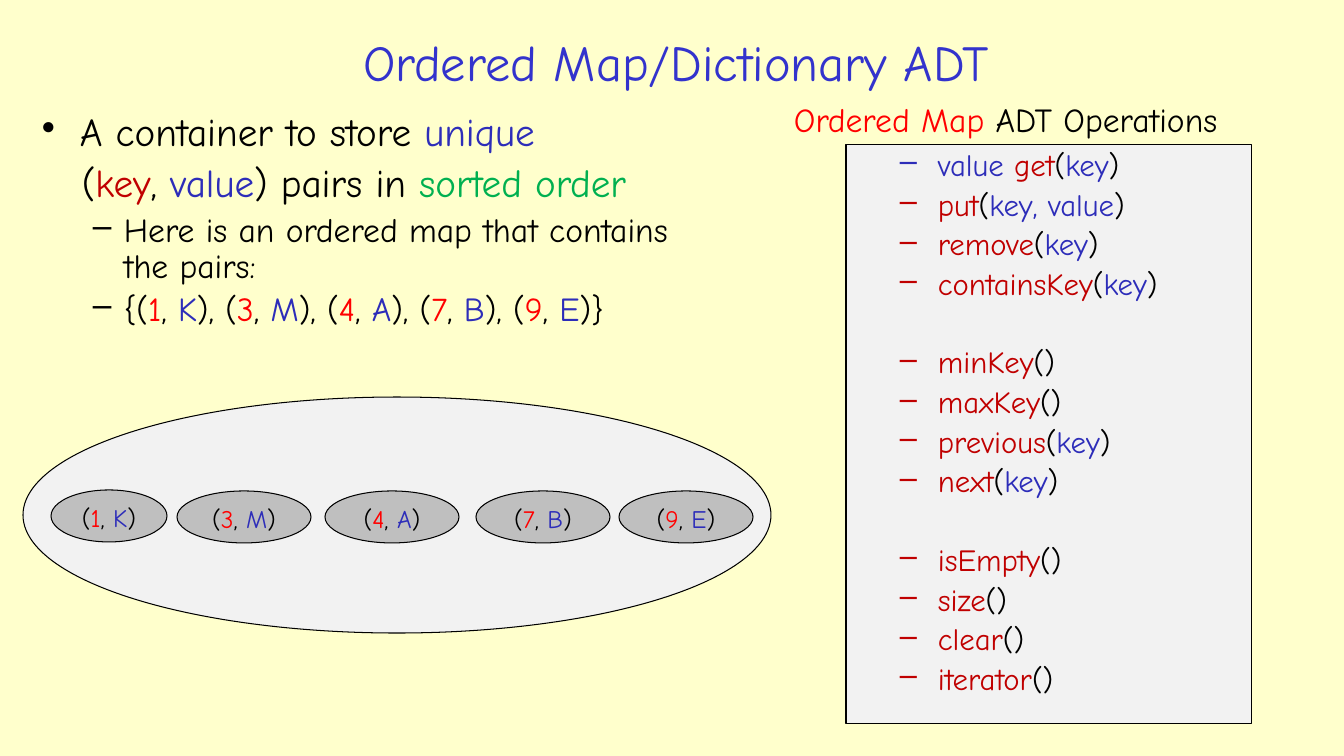
"""Build the Ordered Map/Dictionary ADT slide."""

from dataclasses import dataclass

import pptx
import pptx.dml.color
import pptx.enum.shapes
import pptx.enum.text
import pptx.oxml.ns
import pptx.shapes.autoshape
import pptx.slide
import pptx.text.text
import pptx.util
from lxml import etree

RGBColor = pptx.dml.color.RGBColor
SHAPE = pptx.enum.shapes.MSO_SHAPE
ALIGN = pptx.enum.text.PP_ALIGN
ANCHOR = pptx.enum.text.MSO_ANCHOR

FONT = "Comic Neue"
CREAM = RGBColor(0xFF, 0xFF, 0xCC)
BLACK = RGBColor(0x00, 0x00, 0x00)
TITLE_BLUE = RGBColor(0x33, 0x33, 0xCC)
BLUE = RGBColor(0x2D, 0x2D, 0xB9)
RED = RGBColor(0xFF, 0x00, 0x00)
DARK_RED = RGBColor(0xC0, 0x00, 0x00)
GREEN = RGBColor(0x00, 0xB0, 0x50)
PALE_GREY = RGBColor(0xF2, 0xF2, 0xF2)
GREY = RGBColor(0xBF, 0xBF, 0xBF)

WIDTH, HEIGHT = 1344, 756
EMU_PER_PX = 12192000 / WIDTH

Piece = tuple[str, RGBColor]


@dataclass
class Box:
    left: int
    top: int
    width: int
    height: int


@dataclass
class Line:
    pieces: list[Piece]
    size: int
    margin: int = 0
    indent: int = 0
    bullet: str = ""
    before: float = 0
    spacing: float = 1.0
    align: ALIGN = ALIGN.LEFT


@dataclass
class Entry:
    key: str
    value: str
    box: Box

    def pieces(self) -> list[Piece]:
        return [("(", BLACK), (self.key, RED), (", ", BLACK),
                (self.value, BLUE), (")", BLACK)]


@dataclass
class Operation:
    name: str
    args: str = ""
    result: str = ""
    starts_group: bool = False

    def line(self, first: bool) -> Line:
        pieces = [(self.result, BLUE), (self.name, DARK_RED), ("(", BLACK),
                  (self.args, BLUE), (")", BLACK)]
        before = 0 if first else 32.5 if self.starts_group else 4.5
        return Line([piece for piece in pieces if piece[0]], 22, 82, -38, "–",
                    before, 0.9)


ENTRIES = [
    Entry("1", "K", Box(51, 490, 116, 52)),
    Entry("3", "M", Box(177, 491, 134, 52)),
    Entry("4", "A", Box(325, 491, 134, 52)),
    Entry("7", "B", Box(476, 491, 134, 52)),
    Entry("9", "E", Box(619, 491, 134, 52)),
]

OPERATIONS = [
    Operation(" get", "key", "value"),
    Operation("put", "key, value"),
    Operation("remove", "key"),
    Operation("containsKey", "key"),
    Operation("minKey", starts_group=True),
    Operation("maxKey"),
    Operation("previous", "key"),
    Operation("next", "key"),
    Operation("isEmpty", starts_group=True),
    Operation("size"),
    Operation("clear"),
    Operation("iterator"),
]


def px(length: int) -> pptx.util.Emu:
    """Turn a length in px into EMU."""
    return pptx.util.Emu(round(length * EMU_PER_PX))


def place(box: Box) -> tuple[pptx.util.Emu, ...]:
    """Return the box as left, top, width and height in EMU."""
    return px(box.left), px(box.top), px(box.width), px(box.height)


def write(tf: pptx.text.text.TextFrame, lines: list[Line]) -> None:
    """Fill a text frame with coloured lines."""
    for number, line in enumerate(lines):
        p = tf.add_paragraph() if number else tf.paragraphs[0]
        p.alignment = line.align
        p.line_spacing = line.spacing
        p.space_before = pptx.util.Pt(line.before)
        pPr = p._p.get_or_add_pPr()
        pPr.set("marL", str(px(line.margin)))
        pPr.set("indent", str(px(line.indent)))
        if line.bullet:
            bullet = etree.SubElement(pPr, pptx.oxml.ns.qn("a:buChar"))
            bullet.set("char", line.bullet)
        for text, color in line.pieces:
            r = p.add_run()
            r.text = text
            r.font.name = FONT
            r.font.size = pptx.util.Pt(line.size)
            r.font.color.rgb = color


def add_text(s: pptx.slide.Slide, box: Box, lines: list[Line],
             wrap: bool = True, anchor: ANCHOR = ANCHOR.TOP) -> None:
    """Add a text box."""
    tf = s.shapes.add_textbox(*place(box)).text_frame
    tf.word_wrap = wrap
    tf.vertical_anchor = anchor
    write(tf, lines)


def add_outlined(s: pptx.slide.Slide, kind: SHAPE, box: Box,
                 fill: RGBColor) -> pptx.shapes.autoshape.Shape:
    """Add a filled shape with a thin black outline."""
    sp = s.shapes.add_shape(kind, *place(box))
    sp.shadow.inherit = False
    sp.fill.solid()
    sp.fill.fore_color.rgb = fill
    sp.line.color.rgb = BLACK
    sp.line.width = pptx.util.Pt(0.75)
    sp.text_frame.vertical_anchor = ANCHOR.TOP
    return sp


def main() -> None:
    """Build and save the slide."""
    prs = pptx.Presentation()
    prs.slide_width, prs.slide_height = px(WIDTH), px(HEIGHT)
    s = prs.slides.add_slide(prs.slide_layouts[6])
    s.background.fill.solid()
    s.background.fill.fore_color.rgb = CREAM

    add_text(s, Box(195, 20, 962, 82),
             [Line([("Ordered Map/Dictionary ADT", TITLE_BLUE)], 36,
                   align=ALIGN.CENTER)], anchor=ANCHOR.MIDDLE)

    pairs = [("{", BLACK)]
    for number, entry in enumerate(ENTRIES):
        pairs += [(", ", BLACK)] if number else []
        pairs += entry.pieces()
    pairs.append(("}", BLACK))
    add_text(s, Box(32, 108, 670, 248), [
        Line([("A container to store ", BLACK), ("unique", BLUE)],
             28, 38, -38, "•", spacing=0.9),
        Line([("(", BLACK), ("key", DARK_RED), (", ", BLACK), ("value", BLUE),
              (") pairs in ", BLACK), ("sorted order", GREEN)],
             28, 40, before=6, spacing=0.9),
        Line([("Here is an ordered map that contains the pairs:", BLACK)],
             24, 82, -31, "–", 5, 0.9),
        Line(pairs, 24, 82, -31, "–", 5, 0.9),
    ])

    add_outlined(s, SHAPE.OVAL, Box(23, 397, 748, 236), PALE_GREY)
    for entry in ENTRIES:
        tf = add_outlined(s, SHAPE.OVAL, entry.box, GREY).text_frame
        tf.word_wrap = False
        write(tf, [Line(entry.pieces(), 18, align=ALIGN.CENTER)])

    panel = add_outlined(s, SHAPE.RECTANGLE, Box(846, 145, 406, 579), PALE_GREY)
    write(panel.text_frame, [operation.line(number == 0)
                             for number, operation in enumerate(OPERATIONS)])
    add_text(s, Box(784, 94, 500, 50),
             [Line([("Ordered Map ", RED), ("ADT Operations", BLACK)], 24)],
             wrap=False)
    prs.save("out.pptx")


if __name__ == "__main__":
    main()
